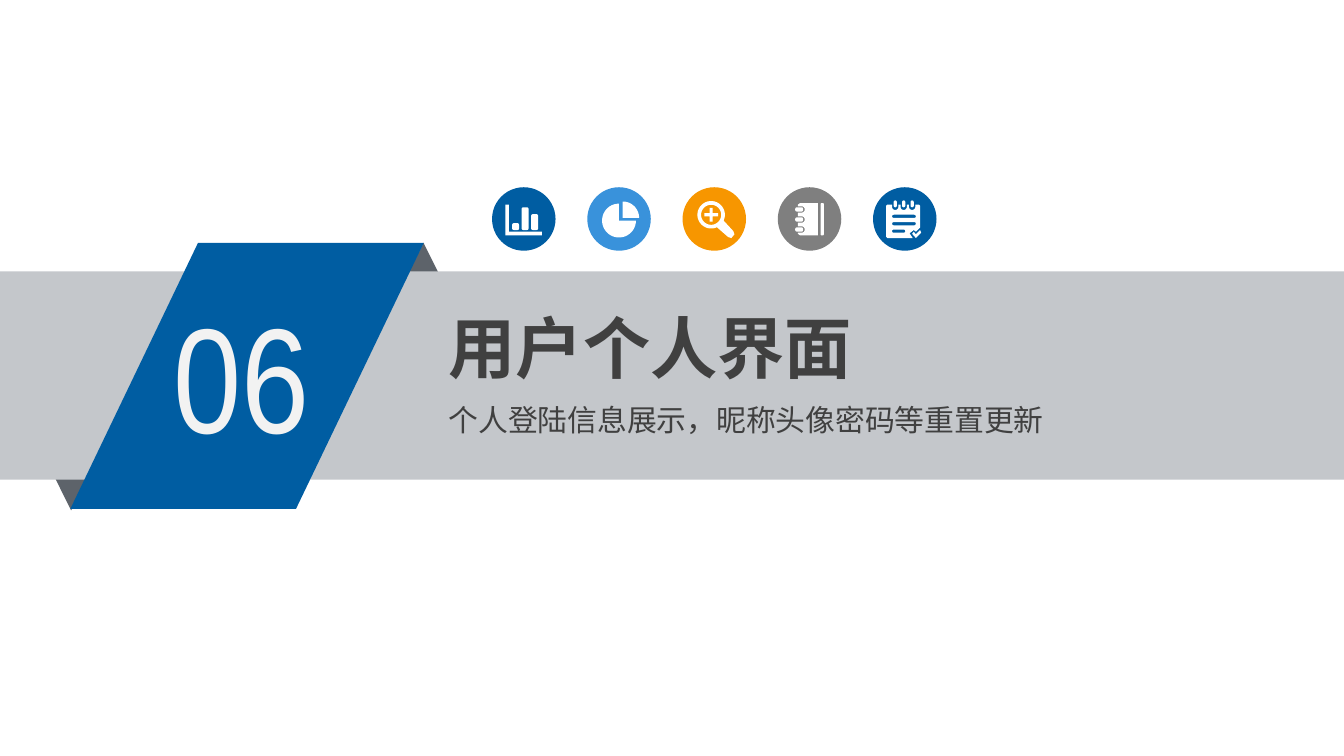
import math

import lxml.etree
import pptx
import pptx.dml.color
import pptx.enum.shapes
import pptx.enum.text
import pptx.oxml.ns
import pptx.util

Cm = pptx.util.Cm
RGBColor = pptx.dml.color.RGBColor
SHAPE = pptx.enum.shapes.MSO_SHAPE

BLUE = RGBColor(0x00, 0x5D, 0xA2)
SKY = RGBColor(0x39, 0x92, 0xDB)
ORANGE = RGBColor(0xF7, 0x96, 0x00)
GRAY = RGBColor(0x7F, 0x7F, 0x7F)
SILVER = RGBColor(0xC4, 0xC7, 0xCB)
SLATE = RGBColor(0x5D, 0x63, 0x6A)
DARK = RGBColor(0x40, 0x40, 0x40)
PALE = RGBColor(0xF2, 0xF2, 0xF2)
WHITE = RGBColor(0xFF, 0xFF, 0xFF)

HAN_FONT = "Noto Sans CJK SC"
NUMBER_FONT = "Arial Narrow"


def paint(shape, color):
    shape.shadow.inherit = False
    shape.fill.solid()
    shape.fill.fore_color.rgb = color
    shape.line.fill.background()
    return shape


def add_preset(shapes, kind, box, color):
    return paint(shapes.add_shape(kind, *map(Cm, box)), color)


def add_label(shapes, box, text, size, font, color, bold=False, inset=0.2):
    label = shapes.add_textbox(*map(Cm, box))
    frame = label.text_frame
    frame.word_wrap = True
    frame.auto_size = pptx.enum.text.MSO_AUTO_SIZE.SHAPE_TO_FIT_TEXT
    frame.margin_left = frame.margin_right = Cm(inset)
    frame.margin_top = frame.margin_bottom = Cm(0.1)
    span = frame.paragraphs[0].add_run()
    span.text = text
    span.font.size = pptx.util.Pt(size)
    span.font.name = font
    span.font.bold = bold
    span.font.color.rgb = color
    east_asian = lxml.etree.SubElement(span._r.get_or_add_rPr(), pptx.oxml.ns.qn("a:ea"))
    east_asian.set("typeface", font)


def arc(x, y, radius, start, end, steps=32):
    angles = [math.radians(start + (end - start) * i / steps) for i in range(steps + 1)]
    return [(x + radius * math.cos(a), y + radius * math.sin(a)) for a in angles]


def rounded(left, top, width, height, radius=0.03):
    right, bottom = left + width - radius, top + height - radius
    left, top = left + radius, top + radius
    corners = [(right, bottom), (left, bottom), (left, top), (right, top)]
    return [point for i, (x, y) in enumerate(corners)
            for point in arc(x, y, radius, 90 * i, 90 * i + 90, 6)]


def bar_chart_icon():
    axes = [(0.25, 0.33), (0.32, 0.33), (0.32, 0.84), (0.94, 0.84), (0.94, 0.91), (0.25, 0.91)]
    heights = [0.13, 0.43, 0.3]
    return [axes] + [rounded(0.38 + 0.18 * i, 0.81 - height, 0.13, height)
                     for i, height in enumerate(heights)]


def pie_icon():
    wedge = [(0.67, 0.58)] + arc(0.67, 0.58, 0.31, -90, 0)
    rest = [(0.6, 0.63)] + arc(0.6, 0.63, 0.32, 0, 270)
    return [wedge, rest]


def magnifier_icon():
    x, y, long, short = 0.54, 0.52, 0.13, 0.03
    handle = [(0.96, 0.83), (0.98, 0.89), (0.92, 0.96), (0.86, 0.94)]
    plus = []
    for across, down in [(1, 1), (-1, 1), (-1, -1), (1, -1)]:
        arms = [(long, short), (short, short), (short, long)]
        if across != down:
            arms.reverse()
        plus += [(x + across * a, y + down * b) for a, b in arms]
    return [arc(x, y, 0.26, 65, 385) + handle, arc(x, y, 0.19, 0, 360), plus]


def notebook_icon():
    middles = [0.42, 0.61, 0.8]
    cover = [(0.76, 0.91), (0.76, 0.3), (0.42, 0.3), (0.38, 0.33)]
    for middle in middles:
        cover += [(0.38, middle - 0.06)] + arc(0.45, middle, 0.06, -90, 90) + [(0.38, middle + 0.06)]
    cover += [(0.38, 0.88), (0.42, 0.91)]
    rings = [rounded(0.33, middle - 0.04, 0.15, 0.08) for middle in middles]
    return [cover, rounded(0.81, 0.3, 0.06, 0.61, 0.02)] + rings


def notepad_icon():
    middles = [0.42, 0.58, 0.74]
    sheet = [(0.25, 0.94), (0.25, 0.35), (0.27, 0.33)]
    for middle in middles:
        sheet += [(middle - 0.06, 0.33)] + arc(middle, 0.37, 0.06, 180, 0) + [(middle + 0.06, 0.33)]
    sheet += [(0.87, 0.33), (0.89, 0.35), (0.89, 0.76), (0.81, 0.84), (0.77, 0.81),
              (0.69, 0.87), (0.75, 0.96), (0.27, 0.96)]
    tick = [(0.91, 0.86), (0.81, 0.96), (0.74, 0.88), (0.77, 0.84), (0.81, 0.89), (0.89, 0.81)]
    rings = [rounded(middle - 0.03, 0.25, 0.06, 0.13) for middle in middles]
    lines = [rounded(0.36, 0.52 + 0.14 * i, width, 0.06)
             for i, width in enumerate([0.45, 0.45, 0.25])]
    return [sheet, tick] + rings + lines


def add_icon(page, box, color, contours):
    left, top, _, _ = box
    shapes = page.shapes.add_group_shape().shapes
    add_preset(shapes, SHAPE.OVAL, box, color)
    placed = [[(Cm(left + x), Cm(top + y)) for x, y in contour] for contour in contours]
    builder = shapes.build_freeform(*placed[0][0])
    for index, contour in enumerate(placed):
        if index:
            builder.move_to(*contour[0])
        builder.add_line_segments(contour[1:], close=True)
    paint(builder.convert_to_shape(), WHITE)


def add_icon_row(page, box):
    left, top, width, size = box
    icons = [(BLUE, bar_chart_icon()), (SKY, pie_icon()), (ORANGE, magnifier_icon()),
             (GRAY, notebook_icon()), (BLUE, notepad_icon())]
    pitch = (width - size) / (len(icons) - 1)
    for index, (color, contours) in enumerate(icons):
        add_icon(page, (left + index * pitch, top, size, size), color, contours)


def add_ribbon(page, box, number):
    left, top, width, height = box
    shapes = page.shapes.add_group_shape().shapes
    add_preset(shapes, SHAPE.ISOSCELES_TRIANGLE, (left + 6.86, top - 0.54, 2.29, 2.31), SLATE)
    fold = add_preset(shapes, SHAPE.ISOSCELES_TRIANGLE, (left + 0.2, top + 2.21, 2.29, 2.31), SLATE)
    fold._element.spPr.get_or_add_xfrm().set("flipV", "1")
    add_preset(shapes, SHAPE.RECTANGLE, (left, top, width, height), SILVER)
    flag = add_preset(shapes, SHAPE.PARALLELOGRAM, (left + 1.33, top - 0.54, 6.68, 5.03), BLUE)
    flag.adjustments[0] = 0.48
    add_label(shapes, (left + 3.1, top + 0.15, 3.68, 3.61), number, 80, NUMBER_FONT, PALE, inset=0.18)


def add_heading(page, box, title, subtitle):
    left, top, width, _ = box
    add_label(page.shapes, (left, top, width, 1.73), title, 36, HAN_FONT, DARK, bold=True)
    add_label(page.shapes, (left, top + 1.8, width, 0.86), subtitle, 16, HAN_FONT, DARK)


def main():
    deck = pptx.Presentation()
    deck.slide_width, deck.slide_height = Cm(25.4), Cm(14.29)
    page = deck.slides.add_slide(deck.slide_layouts[6])
    add_ribbon(page, (0, 5.13, 25.4, 3.94), "06")
    add_heading(page, (8.28, 5.69, 14.02, 2.66), "用户个人界面",
                "个人登陆信息展示，昵称头像密码等重置更新")
    add_icon_row(page, (9.3, 3.54, 8.4, 1.2))
    deck.save("out.pptx")


if __name__ == "__main__":
    main()
